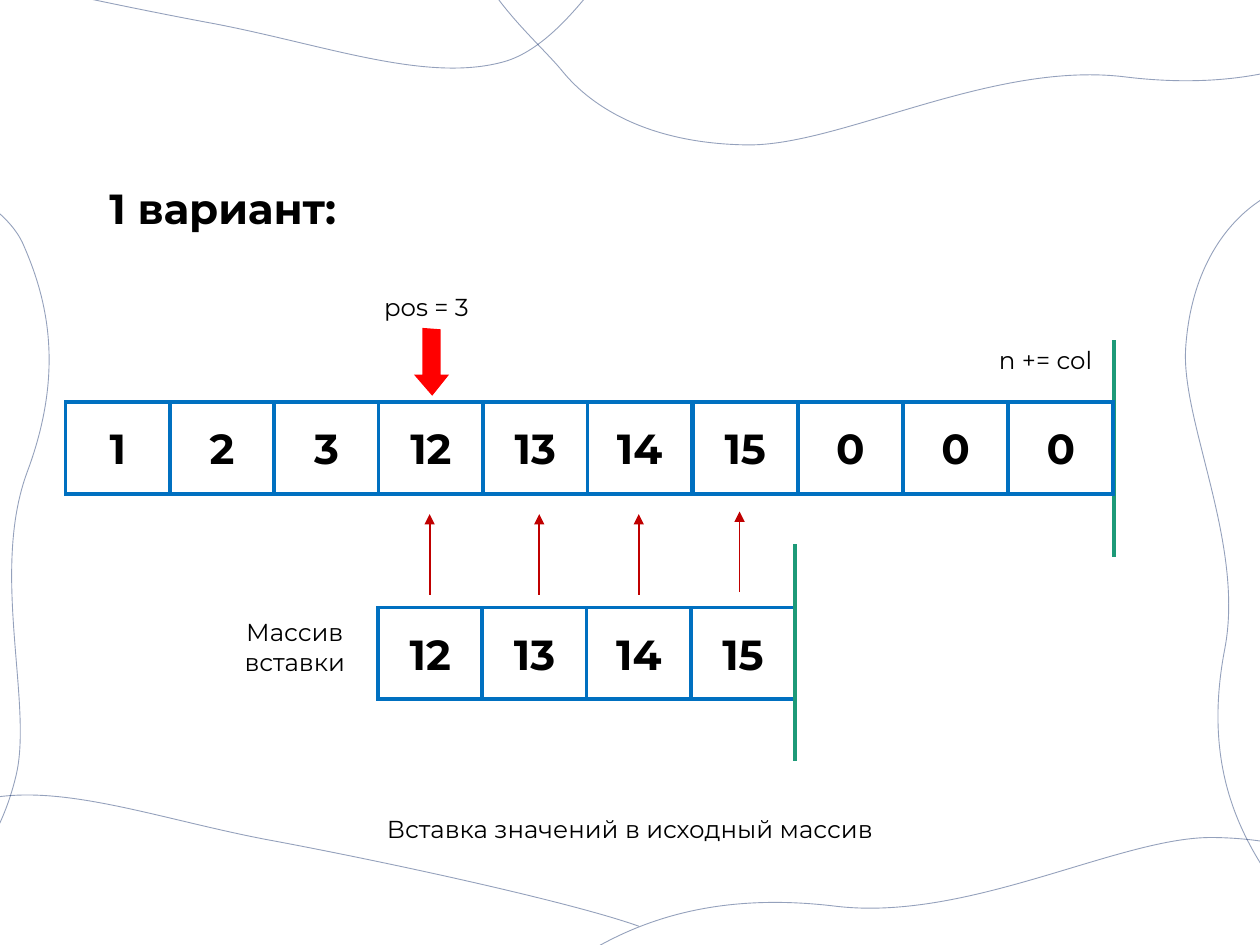
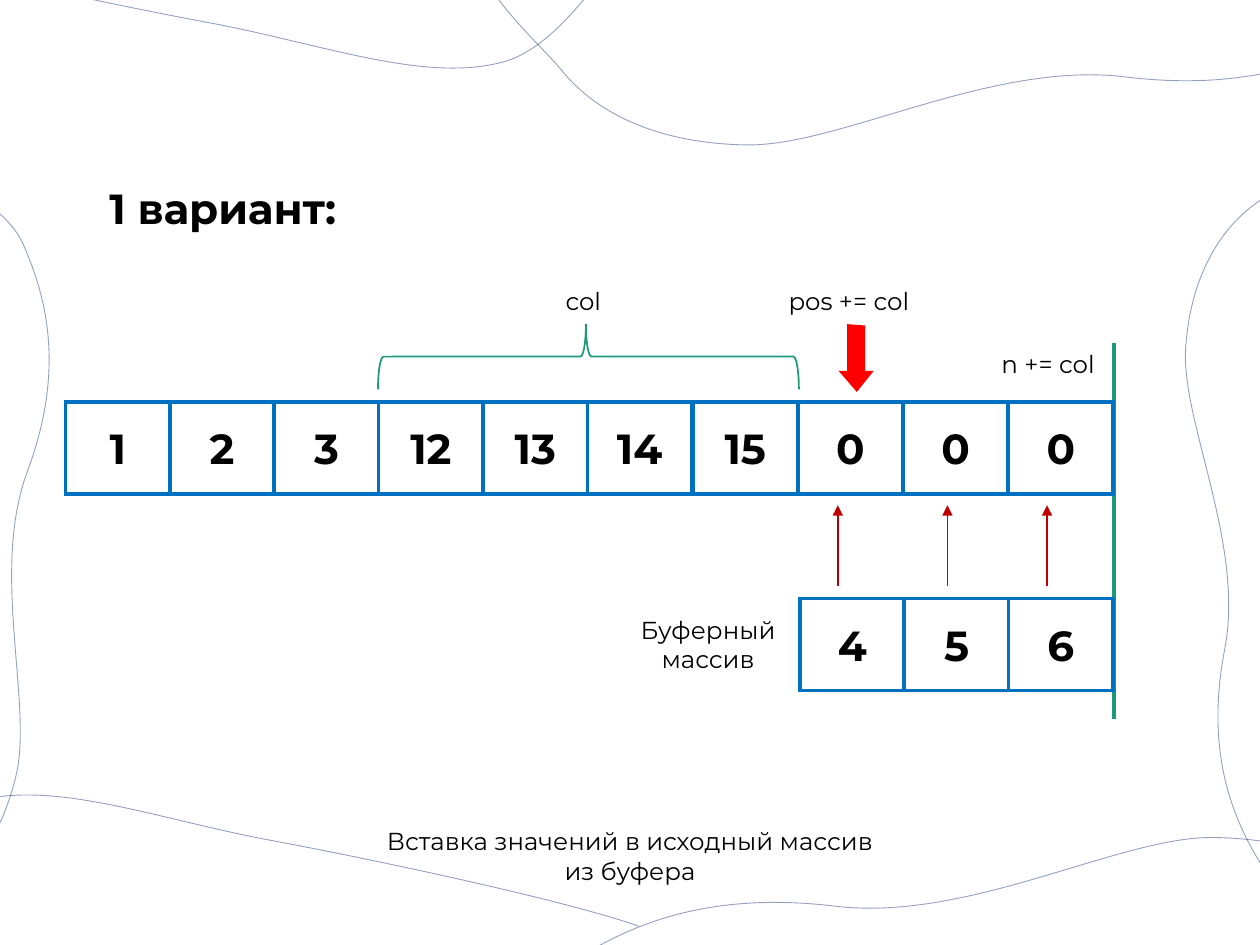
from math import cos, radians, sin

from lxml import etree
from pptx import Presentation
from pptx.dml.color import RGBColor
from pptx.enum.shapes import MSO_CONNECTOR, MSO_SHAPE
from pptx.enum.text import MSO_ANCHOR, PP_ALIGN
from pptx.oxml.ns import qn
from pptx.util import Inches, Pt

RECT = MSO_SHAPE.RECTANGLE
BRACE = MSO_SHAPE.LEFT_BRACE
LINE = MSO_CONNECTOR.STRAIGHT
MID = MSO_ANCHOR.MIDDLE
LEFT, MIDDLE = PP_ALIGN.LEFT, PP_ALIGN.CENTER

FONT = "Montserrat"
INK, PAPER, NAVY = "000000", "FFFFFF", "002060"
BLUE, GREEN, RED, DARK = "0070C0", "1D9A78", "FF0000", "C00000"

COLS, ROWS = 10, 7.5
HEAD = (0.52, 3.19, 4.97, 0.73)
TAIL = (5.5, 3.19, 3.34, 0.73)
STEPS = [(0, 0), (0.87, 0), (1.66, 0), (2.46, -0.02)]
POINTER = [(0.06, 0), (0.06, 0.13), (0.06, 0.37), (0, 0.37), (0.13, 0.52),
           (0.25, 0.37), (0.19, 0.37), (0.19, 0.01)]

SIDE = [(10.99, 7.03), (11.17, 6.62), (10.99, 2.71), (11.01, 1.65),
        (11.02, 0.6), (10.23, 1.44), (9.96, 1.62),
        (9.7, 1.81), (9.45, 2.17), (9.41, 2.76),
        (9.37, 3.34), (9.88, 4.32), (9.72, 5.15),
        (9.56, 5.98), (9.78, 6.52), (10.06, 6.94),
        (10.35, 7.35), (11.3, 7.44), (11.42, 7.63)]
SHORT = [(-1.26, -0.5), (-0.7, -0.3), (0.84, 0.03), (1.71, 0.19),
         (2.59, 0.36), (3.39, 0.66), (4, 0.49),
         (4.6, 0.32), (5.06, -0.75), (5.34, -0.82)]
LONG = [(11.22, -1.07), (10.69, -1.25), (5.76, -0.77), (4.43, -0.71),
        (3.09, -0.66), (4.21, 0.25), (4.46, 0.56),
        (4.71, 0.87), (5.18, 1.14), (5.93, 1.15),
        (6.67, 1.16), (7.87, 0.48), (8.93, 0.61),
        (9.99, 0.74), (10.66, 0.44), (11.16, 0.07),
        (11.67, -0.31), (11.71, -1.47), (11.95, -1.63)]
EAST = ((7.16, 3.38, 6.5, 2.01), 90)
WEST = ((-3.84, 3.38, 6.5, 2.01), 279.5)
NORTH = ((-1.05, -1.82, 6.19, 2.32), 17.8)
SOUTH = ((-1.33, 6.35, 6.19, 2.32), 197.8)
UPPER = ((3.8, -1.41, 8.23, 2.45), 356.9)
LOWER = ((3.53, 6.76, 8.23, 2.45), 176.8)
BACK = [(SIDE, EAST, WEST), (SIDE, EAST, EAST),
        (SHORT, NORTH, SOUTH), (LONG, UPPER, LOWER)]
FRONT = [(SHORT, NORTH, NORTH), (LONG, UPPER, UPPER)]


def color(code):
    return RGBColor.from_string(code)


def place(box):
    return [Inches(n) for n in box]


def paint(shape, fill, line, width):
    shape.shadow.inherit = False
    if fill:
        shape.fill.solid()
        shape.fill.fore_color.rgb = color(fill)
    else:
        shape.fill.background()
    shape.line.color.rgb = color(line)
    shape.line.width = Pt(width)
    etree.SubElement(shape.line._ln, qn("a:miter"), lim="800000")


def write(frame, text, size, bold=False, align=LEFT):
    frame.word_wrap = True
    para = frame.paragraphs[0]
    para.alignment = align
    run = para.add_run()
    run.text = text
    font = run.font
    font.name, font.size, font.bold = FONT, Pt(size), bold
    font.color.rgb = color(INK)


def label(slide, box, text, size=14, bold=False, align=LEFT):
    area = slide.shapes.add_textbox(*place(box))
    write(area.text_frame, text, size, bold, align)


def outline(slide, points, closed):
    dots = [tuple(place(p)) for p in points]
    pen = slide.shapes.build_freeform(*dots[0])
    pen.add_line_segments(dots[1:], close=closed)
    return pen.convert_to_shape()


def rule(slide, start, end, tint, width):
    line = slide.shapes.add_connector(LINE, *place(start + end))
    line.line.color.rgb = color(tint)
    line.line.width = Pt(width)
    etree.SubElement(line._element.spPr, qn("a:effectLst"))
    return line


def level(points, home):
    (left, top, width, height), angle = home
    c, s = cos(radians(angle)), sin(radians(angle))
    for x, y in points:
        dx, dy = x - left - width / 2, y - top - height / 2
        yield dx * c + dy * s + width / 2, dy * c - dx * s + height / 2


def wave(slide, points, home, spot):
    (left, top, width, height), angle = spot
    shape = outline(slide, [(left, top), (left + width, top + height)], False)
    shape.rotation = angle
    route = shape._element.spPr.find(".//" + qn("a:path"))
    for old in list(route):
        route.remove(old)
    knots = list(level(points, home))
    parts = [("a:moveTo", knots[:1])]
    parts += [("a:cubicBezTo", knots[i:i + 3])
              for i in range(1, len(knots), 3)]
    for tag, group in parts:
        step = etree.SubElement(route, qn(tag))
        for x, y in group:
            etree.SubElement(step, qn("a:pt"),
                             x=str(int(Inches(x))), y=str(int(Inches(y))))
    paint(shape, None, NAVY, 0.5)
    tint = shape.line._ln.find(".//" + qn("a:srgbClr"))
    etree.SubElement(tint, qn("a:alpha"), val="42000")


def waves(slide, group):
    for points, home, spot in group:
        wave(slide, points, home, spot)


def cells(slide, box, values):
    left, top, width, height = box
    step = width / len(values)
    for i, value in enumerate(values):
        cell = slide.shapes.add_shape(
            RECT, *place((left + i * step, top, 0.83, height)))
        paint(cell, PAPER, BLUE, 2)
        cell.text_frame.vertical_anchor = MID
        write(cell.text_frame, value, 24, True, MIDDLE)


def arrows(slide, box, count, shift):
    left, top = box[:2]
    for step, lift in STEPS[:count]:
        x, y = left + shift + step, top + lift
        line = rule(slide, (x, y - 0.1), (x, y - 0.74), DARK, 1)
        etree.SubElement(line.line._ln, qn("a:tailEnd"), type="triangle")


def pointer(slide, left, top):
    shape = outline(slide, [(left + x, top + y) for x, y in POINTER], True)
    paint(shape, RED, RED, 1)


def brace(slide, box):
    left, top, width, height = box
    x, y = left + (width - height) / 2, top + (height - width) / 2
    shape = slide.shapes.add_shape(BRACE, *place((x, y, height, width)))
    shape.rotation = 90
    shape.adjustments[0] = 0.083
    shape.adjustments[1] = 0.506
    paint(shape, None, GREEN, 1)


def bound(slide, box, top, end):
    edge = box[0] + box[2]
    rule(slide, (edge, top), (edge, end), GREEN, 2)


def base(deck, foot, text):
    slide = deck.slides.add_slide(deck.slide_layouts[6])
    waves(slide, BACK)
    label(slide, (0.77, 1.4, 2.04, 0.5), "1 вариант:", 24, True)
    label(slide, foot, text, align=MIDDLE)
    cells(slide, HEAD, ["1", "2", "3", "12", "13", "14"])
    return slide


def rest(slide, box):
    cells(slide, TAIL, ["15", "0", "0", "0"])
    label(slide, box, "n += col")


def insert(deck):
    slide = base(deck, (2.84, 6.41, 4.32, 0.34),
                 "Вставка значений в исходный массив")
    part = (3, 4.82, 3.31, 0.73)
    bound(slide, TAIL, 2.7, 4.42)
    pointer(slide, 3.3, 2.61)
    label(slide, (2.95, 2.27, 1.06, 0.34), "pos = 3")
    rest(slide, (7.83, 2.69, 1, 0.34))
    cells(slide, part, ["12", "13", "14", "15"])
    bound(slide, part, 4.32, 6.04)
    arrows(slide, part, 4, 0.41)
    label(slide, (1.57, 4.85, 1.54, 0.57), "Массив вставки", align=MIDDLE)
    waves(slide, FRONT)


def buffer(deck):
    slide = base(deck, (2.84, 6.51, 4.32, 0.57),
                 "Вставка значений в исходный массив из буфера")
    part = (6.35, 4.75, 2.48, 0.73)
    bound(slide, TAIL, 2.72, 5.71)
    pointer(slide, 6.67, 2.58)
    label(slide, (6.16, 2.22, 1.51, 0.34), "pos += col")
    rest(slide, (7.85, 2.72, 1, 0.34))
    cells(slide, part, ["4", "5", "6"])
    brace(slide, (3, 2.57, 3.34, 0.52))
    label(slide, (4.39, 2.22, 0.67, 0.34), "col")
    arrows(slide, part, 3, 0.3)
    label(slide, (4.68, 4.83, 1.88, 0.57), "Буферный массив", align=MIDDLE)
    waves(slide, FRONT)


def main():
    deck = Presentation()
    deck.slide_width, deck.slide_height = place((COLS, ROWS))
    insert(deck)
    buffer(deck)
    deck.save("out.pptx")


if __name__ == "__main__":
    main()
